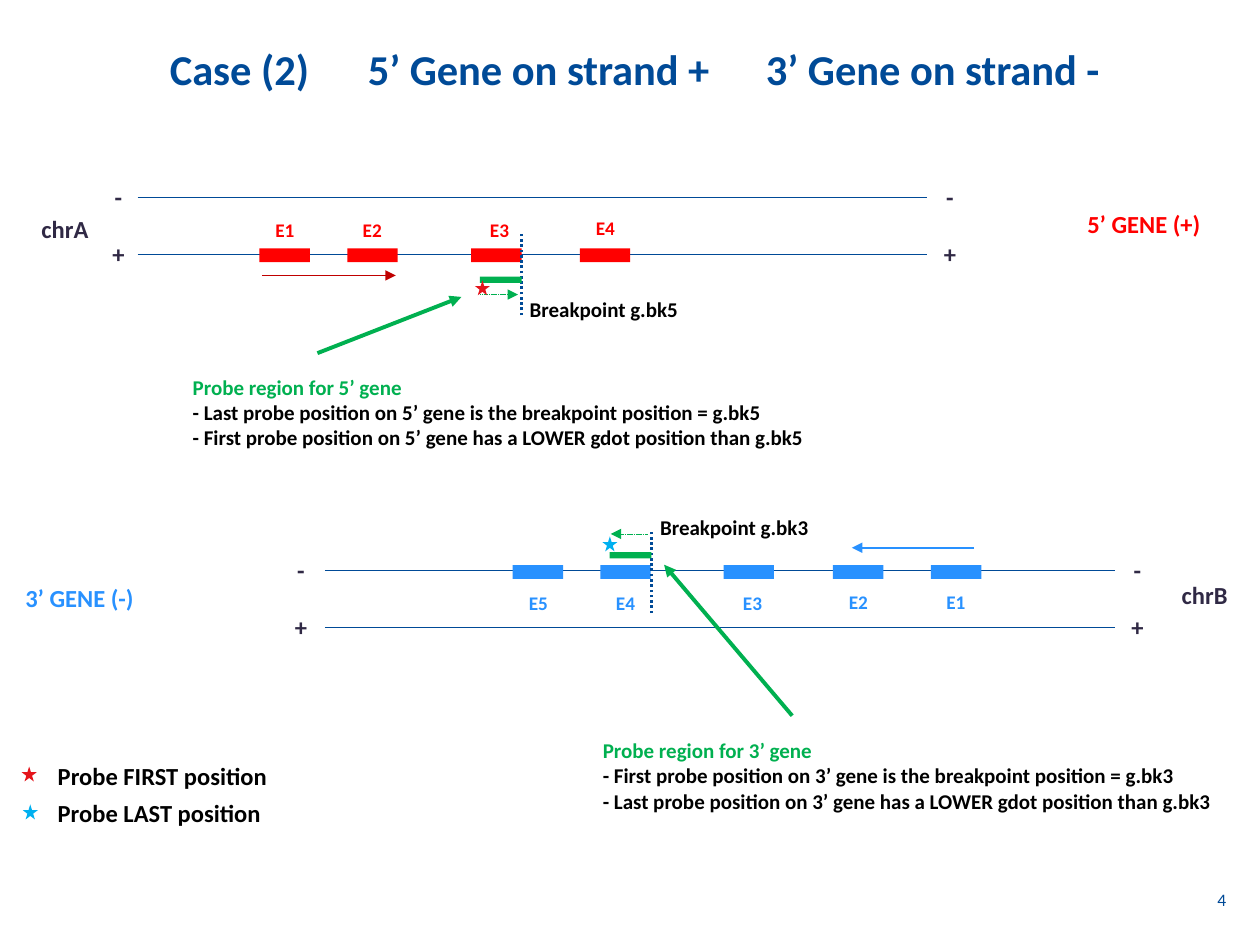
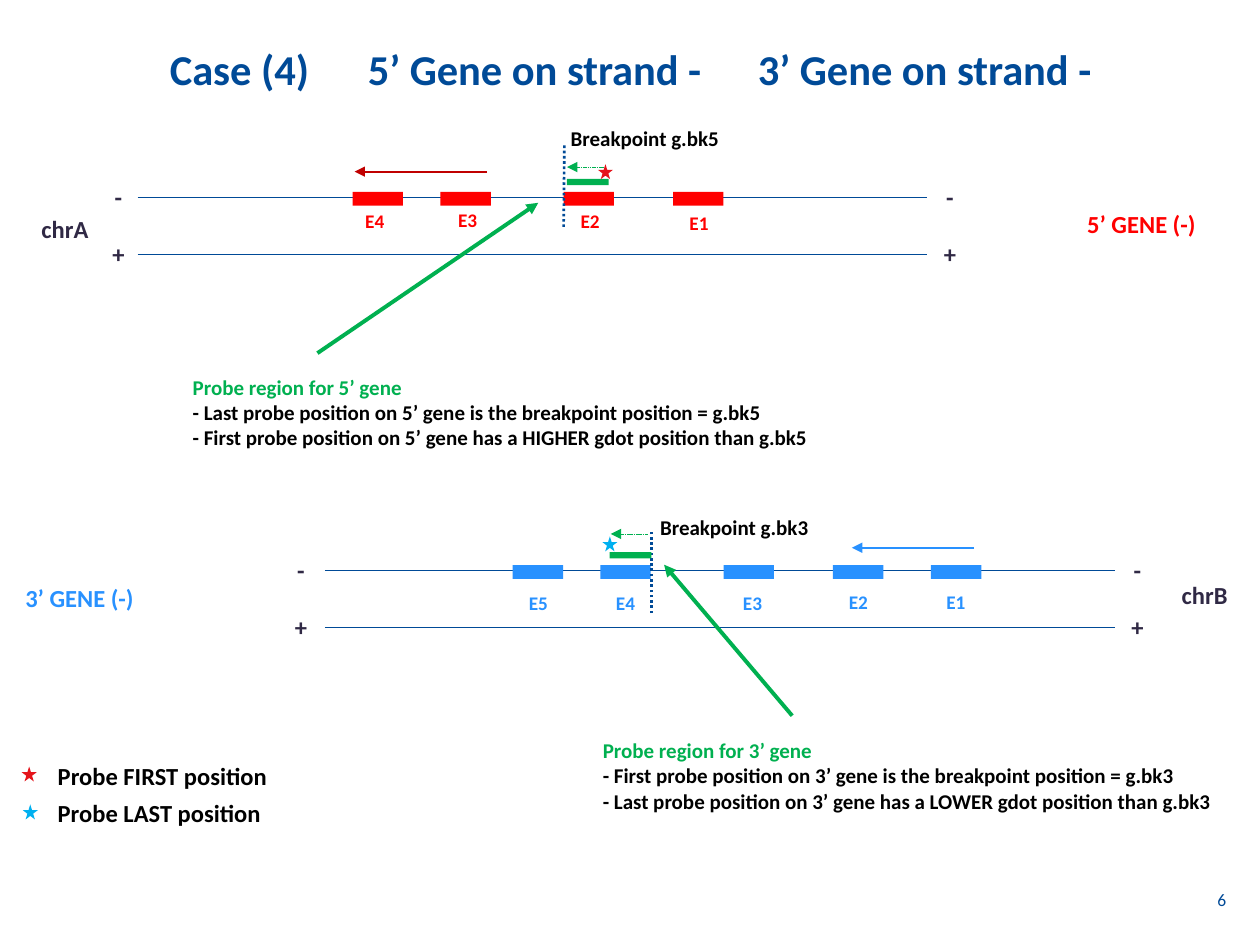
"""Build two slides that show probe regions around gene fusion breakpoints."""
import dataclasses

import pptx
import pptx.dml.color
import pptx.enum.dml
import pptx.enum.shapes
import pptx.enum.text
import pptx.oxml
import pptx.oxml.ns
import pptx.util

Pt = pptx.util.Pt
SHAPES = pptx.enum.shapes.MSO_SHAPE
DASHES = pptx.enum.dml.MSO_LINE
ALIGN = pptx.enum.text.PP_ALIGN
ANCHOR = pptx.enum.text.MSO_ANCHOR

FONT = "Calibri"
COLOURS = {
    "navy": "004A97",
    "ink": "302945",
    "black": "000000",
    "red": "FF0000",
    "dark_red": "C00000",
    "blue": "2891FF",
    "green": "00B050",
    "first": "E5141B",
    "last": "00B0F0",
}
STRAND_LENGTH = 451.4
STRAND_GAP = 32.4
EXON_SIZE = (28.8, 7.9)
PROBE_SIZE = (23.8, 3.6)
STAR_SIZE = (8.6, 8.6)


@dataclasses.dataclass
class Gene:
    """Places of one gene's parts, in points."""

    colour: str
    arrow_colour: str
    exon_top: float
    exons: list
    direction: tuple
    breakpoint_name: str
    breakpoint_line: tuple
    breakpoint_label: tuple
    probe: tuple
    probe_arrow: tuple
    star: tuple
    star_colour: str
    pointer: tuple
    note_box: tuple
    note: list


def five_prime_note(comparison):
    """Return the note on the probe region of the 5’ gene."""
    return [
        "Probe region for 5’ gene",
        "- Last probe position on 5’ gene is the breakpoint position = g.bk5",
        f"- First probe position on 5’ gene has a {comparison} gdot position than g.bk5",
    ]


FIVE_PRIME = {"colour": "red", "arrow_colour": "dark_red", "star_colour": "first",
              "breakpoint_name": "Breakpoint g.bk5", "note_box": (103, 210.2, 375, 51)}

FIVE_PRIME_PLUS = Gene(
    **FIVE_PRIME,
    exon_top=141.9,
    exons=[("E1", 148.3, 150.3, 121), ("E2", 198.5, 200.2, 121),
           ("E3", 269.3, 272.9, 121), ("E4", 331.4, 333.4, 120.3)],
    direction=(150, 157.4, 226.2, 157.4),
    breakpoint_line=(298.1, 180.2, 298.1, 132.5),
    breakpoint_label=(295.6, 165.8),
    probe=(274.3, 158),
    probe_arrow=(274.3, 168.3, 296, 168.3),
    star=(271.4, 160.2),
    pointer=(181.4, 201.8, 263.7, 169.7),
    note=five_prime_note("LOWER"),
)

FIVE_PRIME_MINUS = Gene(
    **FIVE_PRIME,
    exon_top=109.6,
    exons=[("E4", 201.5, 201.6, 116), ("E3", 251.7, 254.7, 115.6),
           ("E2", 322.1, 324.7, 116.3), ("E1", 384.6, 386.9, 116.9)],
    direction=(278.4, 98.1, 202.6, 98.1),
    breakpoint_line=(322.1, 129.7, 322.5, 82.2),
    breakpoint_label=(319, 68.2),
    probe=(324, 102.2),
    probe_arrow=(344.9, 95.5, 324, 95.5),
    star=(341.7, 93.8),
    pointer=(181.4, 201.8, 307.6, 115.9),
    note=five_prime_note("HIGHER"),
)

THREE_PRIME_MINUS = Gene(
    colour="blue",
    arrow_colour="blue",
    exon_top=322.9,
    exons=[("E5", 293, 295.1, 334.2), ("E4", 343.1, 344.9, 334.2),
           ("E3", 413.5, 417.5, 334.2), ("E2", 476, 478, 333.5),
           ("E1", 532, 533.7, 333.9)],
    direction=(556.6, 313, 486.8, 313),
    breakpoint_name="Breakpoint g.bk3",
    breakpoint_line=(372.2, 350.4, 372.2, 302.6),
    breakpoint_label=(370.1, 290.2),
    probe=(348.4, 315.5),
    probe_arrow=(370.1, 305.1, 349, 305.1),
    star=(344.2, 306.5),
    star_colour="last",
    pointer=(452.7, 409, 379.5, 322.7),
    note_box=(337.4, 418, 371.5, 51),
    note=[
        "Probe region for 3’ gene",
        "- First probe position on 3’ gene is the breakpoint position = g.bk3",
        "- Last probe position on 3’ gene has a LOWER gdot position than g.bk3",
    ],
)


def rgb(colour):
    """Return the named colour as an RGB value."""
    return pptx.dml.color.RGBColor.from_string(COLOURS[colour])


def format_runs(paragraph, size, colour, bold=True):
    """Set the font of every run in a paragraph."""
    for run in paragraph.runs:
        run.font.name = FONT
        run.font.size = Pt(size)
        run.font.bold = bold
        run.font.color.rgb = rgb(colour)


def add_text(slide, box, text, size, colour, bold=True, align=ALIGN.LEFT, wrap=False):
    """Add a text box and return its text frame."""
    text_frame = slide.shapes.add_textbox(*map(Pt, box)).text_frame
    text_frame.word_wrap = wrap
    text_frame.text = text
    for paragraph in text_frame.paragraphs:
        paragraph.alignment = align
        format_runs(paragraph, size, colour, bold)
    return text_frame


def add_filled_shape(slide, kind, position, size, colour):
    """Add a preset shape with a plain fill and no outline."""
    shape = slide.shapes.add_shape(kind, *map(Pt, position + size))
    shape.shadow.inherit = False
    shape.fill.solid()
    shape.fill.fore_color.rgb = rgb(colour)
    shape.line.fill.background()


def add_line(slide, ends, colour, width, dash=None, arrow=False):
    """Add a straight line, with an arrowhead at its end if asked."""
    connector = slide.shapes.add_connector(
        pptx.enum.shapes.MSO_CONNECTOR.STRAIGHT, *map(Pt, ends))
    connector.line.color.rgb = rgb(colour)
    connector.line.width = Pt(width)
    if dash is not None:
        connector.line.dash_style = dash
    namespace = pptx.oxml.ns.nsdecls("a")
    properties = connector._element.spPr
    if arrow:
        head = pptx.oxml.parse_xml(f'<a:tailEnd {namespace} type="triangle"/>')
        properties.find(pptx.oxml.ns.qn("a:ln")).append(head)
    properties.append(pptx.oxml.parse_xml(f"<a:effectLst {namespace}/>"))


def add_title(slide, parts, tab_stops):
    """Fill the title placeholder with parts set apart by tab stops."""
    title = slide.shapes.title
    title.left, title.top, title.width, title.height = map(Pt, (37.4, 28.1, 616.3, 27.4))
    text_frame = title.text_frame
    text_frame.auto_size = pptx.enum.text.MSO_AUTO_SIZE.NONE
    text_frame.vertical_anchor = ANCHOR.TOP
    text_frame.margin_left, text_frame.margin_top = Pt(59.7), 0
    text_frame.text = "\t".join(parts)
    paragraph = text_frame.paragraphs[0]
    paragraph.alignment = ALIGN.LEFT
    paragraph.line_spacing = 0.9
    stops = "".join(f'<a:tab pos="{Pt(stop)}" algn="l"/>' for stop in tab_stops)
    paragraph._p.get_or_add_pPr().append(pptx.oxml.parse_xml(
        f'<a:tabLst {pptx.oxml.ns.nsdecls("a")}>{stops}</a:tabLst>'))
    format_runs(paragraph, 24.3, "navy")


def add_page_number(slide, number):
    """Add the page number at the lower right."""
    text_frame = add_text(slide, (538.6, 501.1, 162, 28.8), number, 10, "navy",
                          bold=False, align=ALIGN.RIGHT, wrap=True)
    text_frame.vertical_anchor = ANCHOR.MIDDLE
    text_frame.margin_left = text_frame.margin_right = text_frame.margin_top = 0


def add_chromosome(slide, left, top, sign_centres, name, name_box):
    """Add the two strands of a chromosome with their signs and its name."""
    for row, sign in enumerate("-+"):
        y = top + row * STRAND_GAP
        add_line(slide, (left, y, left + STRAND_LENGTH, y), "navy", 0.5)
        for centre in sign_centres:
            add_text(slide, (centre - 10.8, y - 12.2, 21.6, 24.5), sign, 14, "ink",
                     align=ALIGN.CENTER)
    add_text(slide, name_box, name, 14, "ink")


def add_gene(slide, gene):
    """Add a gene's exons, direction, breakpoint, probe and note."""
    for name, left, label_left, label_top in gene.exons:
        add_filled_shape(slide, SHAPES.RECTANGLE, (left, gene.exon_top), EXON_SIZE, gene.colour)
        add_text(slide, (label_left, label_top, 25.9, 20.6), name, 11, gene.colour)
    add_line(slide, gene.direction, gene.arrow_colour, 1, arrow=True)
    add_line(slide, gene.breakpoint_line, "navy", 1.5, dash=DASHES.ROUND_DOT)
    add_text(slide, gene.breakpoint_label + (100.8, 21.8), gene.breakpoint_name, 12, "black")
    add_filled_shape(slide, SHAPES.RECTANGLE, gene.probe, PROBE_SIZE, "green")
    add_line(slide, gene.pointer, "green", 2.25, arrow=True)
    note = add_text(slide, gene.note_box, "\n".join(gene.note), 12, "black", wrap=True)
    format_runs(note.paragraphs[0], 12, "green")
    add_line(slide, gene.probe_arrow, "green", 0.25, dash=DASHES.SQUARE_DOT, arrow=True)
    add_filled_shape(slide, SHAPES.STAR_5_POINT, gene.star, STAR_SIZE, gene.star_colour)


def add_legend(slide):
    """Add the key to the two stars."""
    entries = [("first", "Probe FIRST position", (12.4, 438), (25.9, 431.3, 135.4, 24.5)),
               ("last", "Probe LAST position", (13, 459.7), (25.9, 452.2, 131.8, 24.5))]
    for colour, text, star, box in entries:
        add_filled_shape(slide, SHAPES.STAR_5_POINT, star, STAR_SIZE, colour)
        add_text(slide, box, text, 14, "black")


def add_case(presentation, case, strand, third_tab, page, five_prime):
    """Add the slide of one case of strands."""
    slide = presentation.slides.add_slide(presentation.slide_layouts[5])
    parts = [f"Case ({case})", f"5’ Gene on strand {strand}", "3’ Gene on strand -"]
    add_title(slide, parts, (113.1, third_tab))
    add_page_number(slide, page)
    add_chromosome(slide, 78.6, 112.8, (67.7, 542.9), "chrA", (16.6, 119, 41.8, 24.5))
    add_chromosome(slide, 185.6, 326, (172, 650), "chrB", (668.2, 327.8, 41, 24.5))
    gene_width = 79.9 if strand == "+" else 77
    add_text(slide, (614.2, 116.1, gene_width, 24.5), f"5’ GENE ({strand})", 14, "red")
    add_text(slide, (7.4, 329.4, 77, 24.5), "3’ GENE (-)", 14, "blue")
    add_gene(slide, five_prime)
    add_gene(slide, THREE_PRIME_MINUS)
    add_legend(slide)


def main():
    """Build and save the presentation."""
    presentation = pptx.Presentation()
    presentation.slide_width, presentation.slide_height = Pt(720), Pt(540)
    add_case(presentation, 2, "+", 340.6, "4", FIVE_PRIME_PLUS)
    add_case(presentation, 4, "-", 336, "6", FIVE_PRIME_MINUS)
    presentation.save("out.pptx")


if __name__ == "__main__":
    main()
